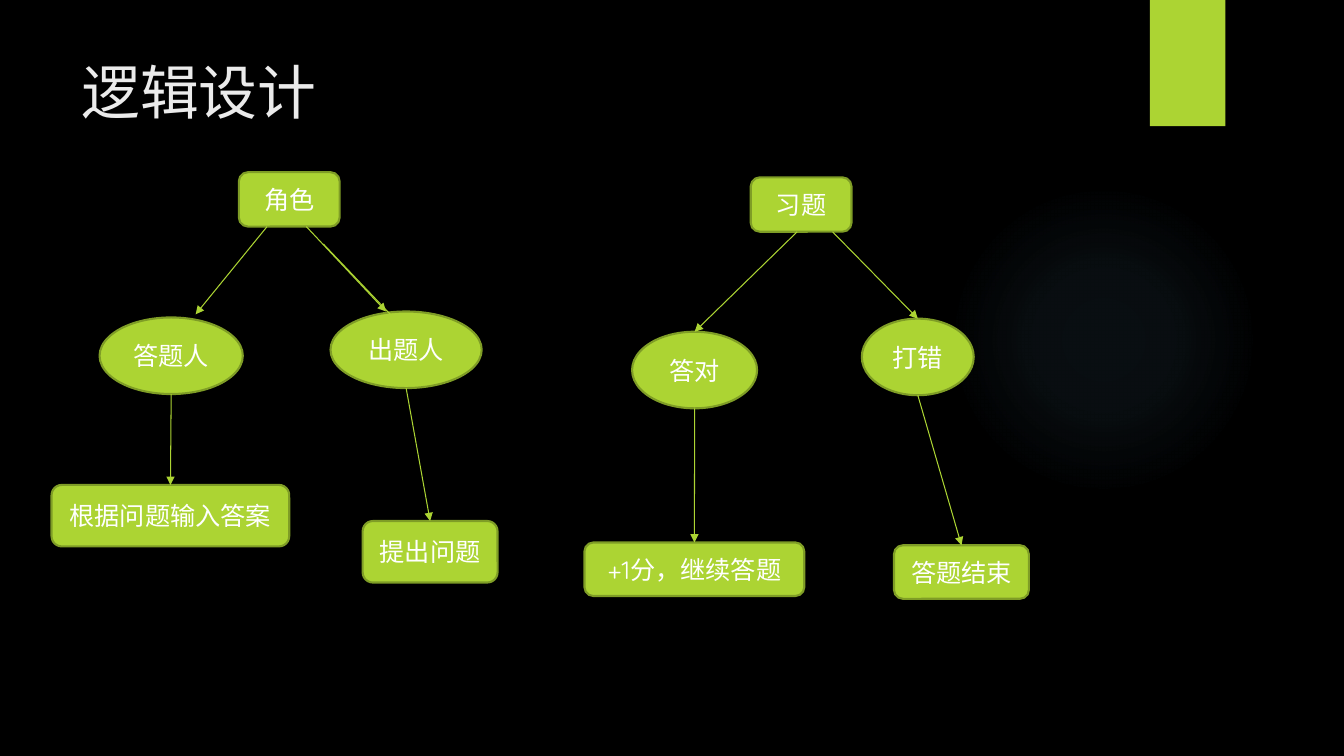
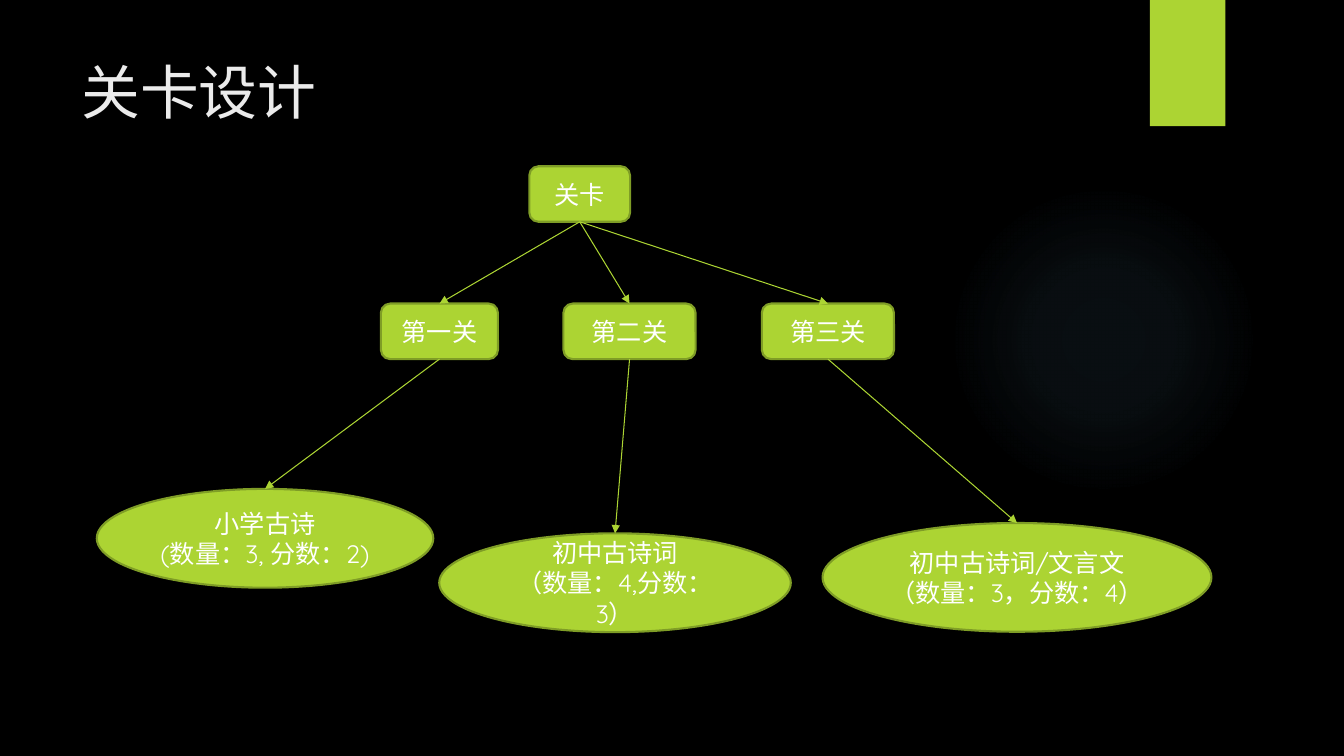
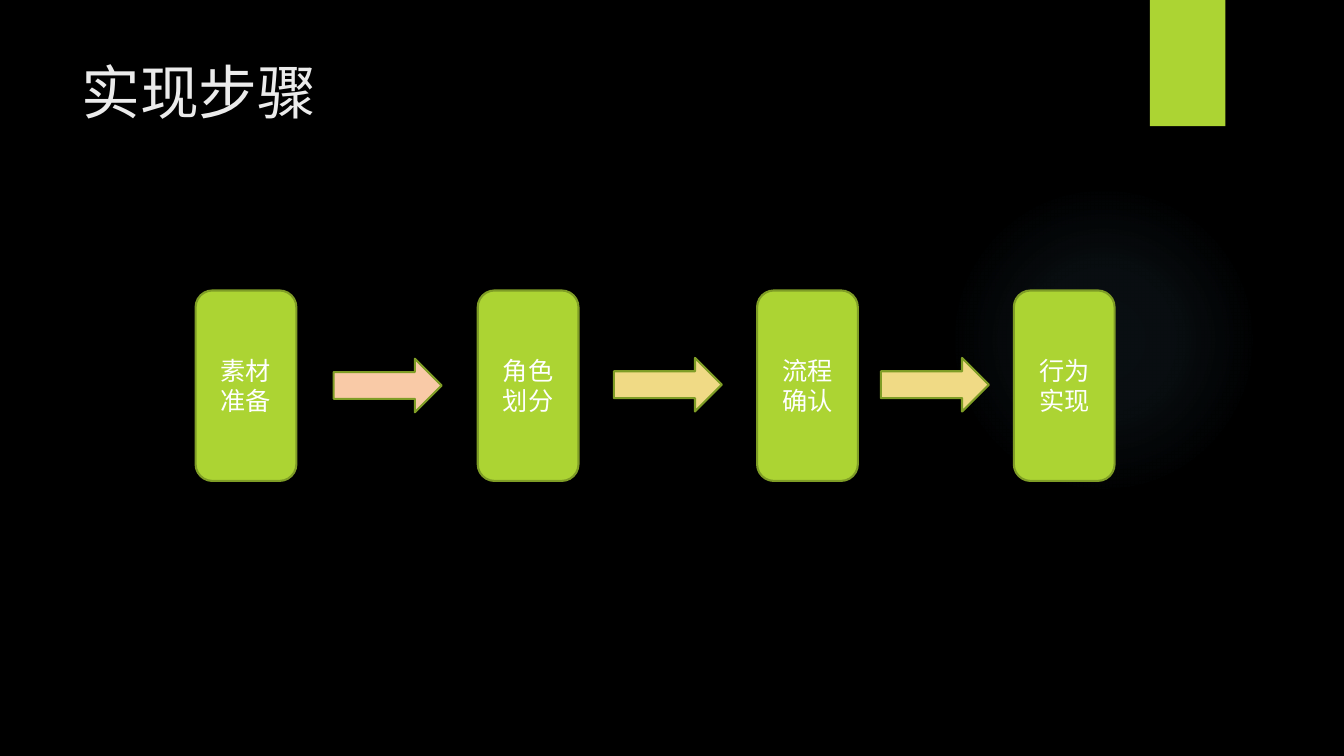
"""Build three slides on the design of a quiz game."""
from dataclasses import dataclass

from lxml.etree import SubElement
from pptx import Presentation
from pptx.dml.color import RGBColor
from pptx.enum.lang import MSO_LANGUAGE_ID
from pptx.enum.shapes import MSO_CONNECTOR, MSO_SHAPE
from pptx.enum.text import MSO_ANCHOR, PP_ALIGN
from pptx.oxml import parse_xml
from pptx.oxml.ns import nsdecls, qn
from pptx.util import Cm, Pt


@dataclass(frozen=True)
class Theme:
    """Hold the colours and type sizes of the deck."""

    back: str = "000000"
    lime: str = "ACD433"
    edge: str = "7F9D26"
    glow: str = "7AC4F0"
    peach: str = "F9CAA7"
    sand: str = "F0DA85"
    title: str = "EBEBEB"
    label: str = "FFFFFF"
    font: str = "Quicksand"
    big: int = 42
    small: int = 18
    rim: float = 1.5
    thin: float = 0.75


LOOK = Theme()
CARD = MSO_SHAPE.ROUNDED_RECTANGLE
OVAL = MSO_SHAPE.OVAL


def put(item, form):
    """Set each attribute that the dict names."""
    for name, value in form.items():
        setattr(item, name, value)


def hue(code):
    """Turn a hex code into a colour."""
    return RGBColor.from_string(code)


def paint(fill, code):
    """Give a fill one solid colour."""
    fill.solid()
    fill.fore_color.rgb = hue(code)


def write(frame, text, size, code, align, anchor):
    """Fill a text frame, one paragraph per line of text."""
    put(frame, {"word_wrap": True, "vertical_anchor": anchor, "text": text})
    for para in frame.paragraphs:
        para.alignment = align
        for run in para.runs:
            put(run.font, {"name": LOOK.font, "size": Pt(size),
                           "language_id": MSO_LANGUAGE_ID.SIMPLIFIED_CHINESE})
            run.font.color.rgb = hue(code)


def block(slide, kind, box, code, rim=True):
    """Add a plain filled shape, with or without a rim."""
    shape = slide.shapes.add_shape(kind, *map(Cm, box))
    shape.shadow.inherit = False
    paint(shape.fill, code)
    if rim:
        paint(shape.line.fill, LOOK.edge)
        shape.line.width = Pt(LOOK.rim)
    else:
        shape.line.fill.background()
    return shape


def node(slide, kind, text, *box):
    """Add a lime shape with a centred label."""
    shape = block(slide, kind, box, LOOK.lime)
    write(shape.text_frame, text, LOOK.small, LOOK.label,
          PP_ALIGN.CENTER, MSO_ANCHOR.MIDDLE)
    return shape


def link(slide, start, end):
    """Draw an arrow between two ends, each a point or a node."""
    line = slide.shapes.add_connector(MSO_CONNECTOR.STRAIGHT, 0, 0, 0, 0)
    if isinstance(start, tuple):
        put(line, {"begin_x": Cm(start[0]), "begin_y": Cm(start[1])})
    else:
        line.begin_connect(start, 2)
        if start.auto_shape_type == OVAL:
            line.element.find(".//" + qn("a:stCxn")).set("idx", "4")
    if isinstance(end, tuple):
        put(line, {"end_x": Cm(end[0]), "end_y": Cm(end[1])})
    else:
        line.end_connect(end, 0)
    paint(line.line.fill, LOOK.lime)
    line.line.width = Pt(LOOK.thin)
    props = line.element.spPr
    SubElement(props.find(qn("a:ln")), qn("a:tailEnd"), type="triangle")
    SubElement(props, qn("a:effectLst"))


def halo(slide):
    """Add the faint round glow on the right."""
    shape = block(slide, OVAL, (23.9, 4.65, 7.82, 7.82), LOOK.glow, rim=False)
    stops = "".join(
        f'<a:gs pos="{spot * 1000}"><a:srgbClr val="{LOOK.glow}">'
        f'<a:alpha val="{alpha * 1000}"/></a:srgbClr></a:gs>'
        for spot, alpha in ((0, 7), (36, 6), (69, 0), (100, 0)))
    blend = parse_xml(
        f'<a:gradFill {nsdecls("a")}><a:gsLst>{stops}</a:gsLst>'
        '<a:path path="circle"><a:fillToRect l="50000" t="50000" '
        'r="50000" b="50000"/></a:path></a:gradFill>')
    props = shape.element.spPr
    props.replace(props.find(qn("a:solidFill")), blend)


def page(deck, title):
    """Add a slide with the glow, the band and a title."""
    slide = deck.slides.add_slide(deck.slide_layouts[6])
    halo(slide)
    block(slide, MSO_SHAPE.RECTANGLE, (28.98, 0, 1.9, 3.18), LOOK.lime, rim=False)
    box = slide.shapes.add_textbox(*map(Cm, (1.8, 1.27, 26.14, 3.89)))
    write(box.text_frame, title, LOOK.big, LOOK.title,
          PP_ALIGN.LEFT, MSO_ANCHOR.TOP)
    return slide


def logic(deck):
    """Show the trees of roles and of questions."""
    slide = page(deck, "逻辑设计")
    node(slide, CARD, "角色", 6.02, 4.34, 2.54, 1.37)
    node(slide, CARD, "习题", 18.92, 4.47, 2.54, 1.37)
    asker = node(slide, OVAL, "出题人", 8.33, 7.85, 3.81, 1.93)
    player = node(slide, OVAL, "答题人", 2.51, 8, 3.61, 1.93)
    right = node(slide, OVAL, "答对", 15.93, 8.36, 3.15, 1.93)
    wrong = node(slide, OVAL, "打错", 21.72, 8.03, 2.82, 1.93)
    pose = node(slide, CARD, "提出问题", 9.14, 13.13, 3.4, 1.55)
    reply = node(slide, CARD, "根据问题输入答案", 1.3, 12.22, 5.99, 1.55)
    score = node(slide, CARD, "+1分，继续答题", 14.73, 13.67, 5.54, 1.35)
    over = node(slide, CARD, "答题结束", 22.53, 13.74, 3.4, 1.35)
    for start, end in (
            ((6.73, 5.71), (4.93, 7.92)),
            ((7.72, 5.71), (9.73, 7.85)),
            ((8.15, 6.15), (10.16, 8.26)),
            ((20.09, 5.84), right),
            ((20.98, 5.84), wrong),
            (player, reply), (asker, pose), (right, score), (wrong, over)):
        link(slide, start, end)


def levels(deck):
    """Show the three levels and what each one asks."""
    slide = page(deck, "关卡设计")
    root = node(slide, CARD, "关卡", 13.34, 4.19, 2.54, 1.4)
    for name, left, width, text, box in (
            ("第一关", 9.6, 2.95, "小学古诗\n(数量：3, 分数：2)",
             (2.44, 12.32, 8.48, 2.49)),
            ("第二关", 14.2, 3.33, "初中古诗词\n（数量：4,分数：3）",
             (11.07, 13.44, 8.86, 2.49)),
            ("第三关", 19.2, 3.33, "初中古诗词/文言文（数量：3，分数：4）",
             (20.73, 13.18, 9.8, 2.74))):
        level = node(slide, CARD, name, left, 7.65, width, 1.4)
        task = node(slide, OVAL, text, *box)
        link(slide, root, level)
        link(slide, level, task)


def steps(deck):
    """Show the four steps in a row, with block arrows between."""
    slide = page(deck, "实现步骤")
    for text, left in (("素材准备", 4.93), ("角色划分", 12.04),
                       ("流程确认", 19.08), ("行为实现", 25.55)):
        node(slide, CARD, text, left, 7.32, 2.54, 4.8)
    for left, top, code in ((8.41, 9.04, LOOK.peach), (15.47, 9.02, LOOK.sand),
                            (22.2, 9.02, LOOK.sand)):
        block(slide, MSO_SHAPE.RIGHT_ARROW, (left, top, 2.72, 1.35), code)


def main():
    """Build and save the deck."""
    deck = Presentation()
    put(deck, {"slide_width": Cm(33.87), "slide_height": Cm(19.05)})
    paint(deck.slide_master.background.fill, LOOK.back)
    for build in (logic, levels, steps):
        build(deck)
    deck.save("out.pptx")


if __name__ == "__main__":
    main()
